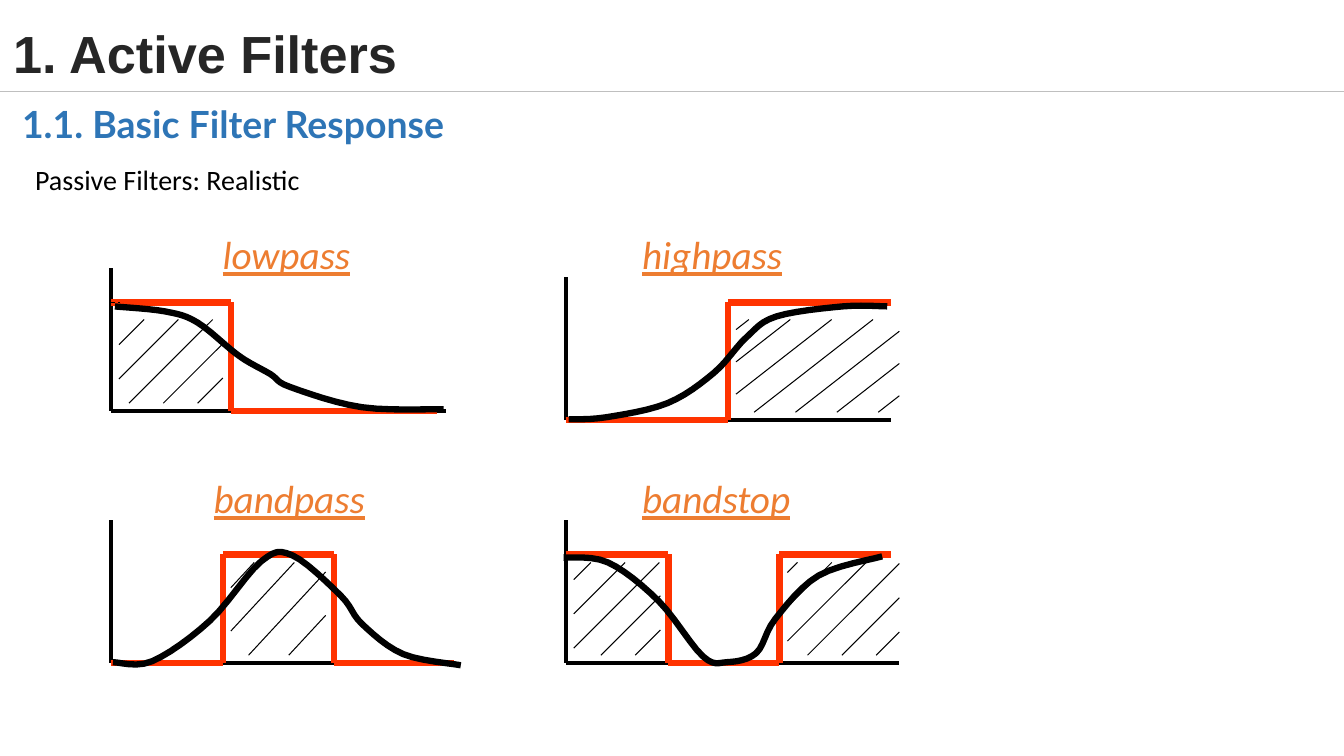
import pptx
import pptx.util
import pptx.dml.color
import pptx.enum.dml
import pptx.enum.shapes
import pptx.enum.text
import pptx.oxml.ns
from dataclasses import dataclass
from lxml import etree
from pptx.util import Inches

RGBColor = pptx.dml.color.RGBColor
BLACK = RGBColor(0x00, 0x00, 0x00)
TITLE_GREY = RGBColor(0x26, 0x26, 0x26)
RULE_GREY = RGBColor(0xBF, 0xBF, 0xBF)
HEADING_BLUE = RGBColor(0x2E, 0x75, 0xB6)
LABEL_ORANGE = RGBColor(0xED, 0x7D, 0x31)
IDEAL_RED = RGBColor(0xFF, 0x33, 0x00)

AXIS_HEIGHT = 1.42
INSET = 0.08  # gap between a passband and its hatching


@dataclass
class Row:
    label_top: float
    level: float  # height of the passband
    hatch_top: float


@dataclass
class Filter:
    name: str
    row: Row
    label_left: float
    left: float
    right: float
    base: float
    starts_high: bool
    edges: list  # start, cutoffs and end of the ideal response
    hatches: list  # slope, first offset and gap for each passband
    response: list  # points on the real response


UPPER = Row(2.24, 3, 3.17)
LOWER = Row(4.66, 5.5, 5.58)

FILTERS = [
    Filter("lowpass", UPPER, 2.11, 1.1, 4.42, 4.08, True,
           [1.1, 2.29, 4.33], [(1, 0.25, 0.34)],
           [(1.14, 3.04), (1.64, 3.09), (1.96, 3.2), (2.37, 3.53),
            (2.68, 3.71), (2.88, 3.84), (3.59, 4.04), (4.4, 4.06)]),
    Filter("highpass", UPPER, 6.27, 5.61, 8.84, 4.17, False,
           [5.61, 7.22, 8.84], [(0.78, 0.1, 0.32)],
           [(5.64, 4.16), (6.01, 4.14), (6.62, 4), (7.08, 3.7),
            (7.4, 3.35), (7.7, 3.14), (8.36, 3.04), (8.8, 3.04)]),
    Filter("bandpass", LOWER, 2.02, 1.1, 4.42, 6.58, False,
           [1.1, 2.21, 3.31, 4.5], [(1.08, 0.25, 0.43)],
           [(1.12, 6.57), (1.51, 6.56), (2.08, 6.16), (2.59, 5.57),
            (2.9, 5.51), (3.38, 5.91), (3.59, 6.19), (4, 6.49),
            (4.57, 6.6)]),
    Filter("bandstop", LOWER, 6.27, 5.61, 8.92, 6.58, True,
           [5.61, 6.63, 7.73, 8.84], [(1, 0.17, 0.34), (1, 0.1, 0.34)],
           [(5.59, 5.53), (6.03, 5.58), (6.53, 5.96), (6.97, 6.51),
            (7.21, 6.57), (7.5, 6.48), (7.69, 6.14), (8.12, 5.71),
            (8.75, 5.52)]),
]


def style_text(paragraph, size, name, color, bold=False):
    font = paragraph.font
    font.size = pptx.util.Pt(size)
    font.name = name
    font.color.rgb = color
    font.bold = bold


def add_text(slide, text, box, size, name, color, wrap=False, bold=False):
    holder = slide.shapes.add_textbox(*map(Inches, box))
    frame = holder.text_frame
    frame.word_wrap = wrap
    paragraph = frame.paragraphs[0]
    paragraph.text = text
    style_text(paragraph, size, name, color, bold)
    return paragraph


def add_line(slide, start, end, color, width):
    line = slide.shapes.add_connector(
        pptx.enum.shapes.MSO_CONNECTOR.STRAIGHT, *map(Inches, (*start, *end)))
    line.line.color.rgb = color
    line.line.width = pptx.util.Pt(width)
    etree.SubElement(line._element.spPr, pptx.oxml.ns.qn("a:effectLst"))
    return line


def add_chain(slide, corners, color, width):
    for start, end in zip(corners, corners[1:]):
        add_line(slide, start, end, color, width)


def add_hatch(slide, left, top, right, bottom, slope, offset, gap):
    """Draw parallel strokes clipped to a box."""
    height = bottom - top
    reach = height + slope * (right - left) - 2 * INSET
    while offset < reach:
        low = max(left, left + (offset - height) / slope)
        high = min(right, left + offset / slope)
        ends = [(x, top + offset - slope * (x - left)) for x in (high, low)]
        add_line(slide, *ends, BLACK, 0.75)
        offset += gap


def smooth(anchors, steps=6):
    """Return points on a Catmull-Rom curve through the anchors."""
    padded = [anchors[0], *anchors, anchors[-1]]
    points = [anchors[0]]
    for around in zip(padded, padded[1:], padded[2:], padded[3:]):
        for step in range(1, steps + 1):
            t = step / steps
            points.append(tuple(
                q + t * (r - p) / 2 + t * t * (p - 2.5 * q + 2 * r - s / 2)
                + t ** 3 * (3 * q - p - 3 * r + s) / 2
                for p, q, r, s in zip(*around)))
    return points


def add_response(slide, anchors):
    points = [(Inches(x), Inches(y)) for x, y in smooth(anchors)]
    builder = slide.shapes.build_freeform(*points[0])
    builder.add_line_segments(points[1:], close=False)
    response = builder.convert_to_shape()
    response.shadow.inherit = False
    response.fill.background()
    response.line.color.rgb = BLACK
    response.line.width = pptx.util.Pt(4.5)


def add_filter(slide, item):
    # Axes
    add_chain(slide, [(item.left, item.base - AXIS_HEIGHT), (item.left, item.base),
                      (item.right, item.base)], BLACK, 3)

    # Ideal response and passbands
    corners, passbands = [], []
    high = item.starts_high
    for start, end in zip(item.edges, item.edges[1:]):
        y = item.row.level if high else item.base
        corners += [(start, y), (end, y)]
        if high:
            passbands.append((start, end))
        high = not high
    add_chain(slide, corners, IDEAL_RED, 4.5)

    # Label
    label = add_text(slide, item.name, (item.label_left, item.row.label_top, 1.7, 0.57),
                     28, "Calibri", LABEL_ORANGE)
    label.font.italic = True
    label.font.underline = True

    # Hatching and real response
    for (start, end), hatch in zip(passbands, item.hatches):
        right = end + INSET if end == item.edges[-1] else end - INSET
        add_hatch(slide, start + INSET, item.row.hatch_top, right,
                  item.base - INSET, *hatch)
    add_response(slide, item.response)


def add_title(slide, text):
    title = slide.shapes.title
    title.left, title.top, title.width, title.height = map(
        Inches, (0, 0.23, 13.12, 0.67))
    frame = title.text_frame
    frame.margin_left = frame.margin_right = Inches(0.13)
    frame.margin_top = frame.margin_bottom = Inches(0.07)
    frame.vertical_anchor = pptx.enum.text.MSO_ANCHOR.MIDDLE
    paragraph = frame.paragraphs[0]
    paragraph.text = text
    paragraph.alignment = pptx.enum.text.PP_ALIGN.LEFT
    paragraph.line_spacing = 0.9
    style_text(paragraph, 37.3, "Arial", TITLE_GREY, bold=True)


def main():
    deck = pptx.Presentation()
    deck.slide_width, deck.slide_height = Inches(13.33), Inches(7.5)
    slide = deck.slides.add_slide(deck.slide_layouts[5])

    # Headings
    add_line(slide, (0, 0.91), (13.33, 0.91), RULE_GREY, 0.5)
    add_title(slide, "1. Active Filters")
    section = add_text(slide, "1.1. Basic Filter Response", (0.12, 1, 13.21, 0.67),
                       26.7, "Lato", HEADING_BLUE, wrap=True, bold=True)
    section.line_spacing = 0.9
    topic = add_text(slide, "Passive Filters: Realistic", (0.23, 1.56, 2.86, 0.44),
                     20, "Calibri", BLACK)
    topic.alignment = pptx.enum.text.PP_ALIGN.CENTER

    # Four filter responses
    for item in FILTERS:
        add_filter(slide, item)

    # Dashed mark at the lowpass level
    mark = add_line(slide, (1.1, 3), (1.19, 3), BLACK, 0.75)
    mark.line.dash_style = pptx.enum.dml.MSO_LINE.DASH

    deck.save("out.pptx")


if __name__ == "__main__":
    main()
